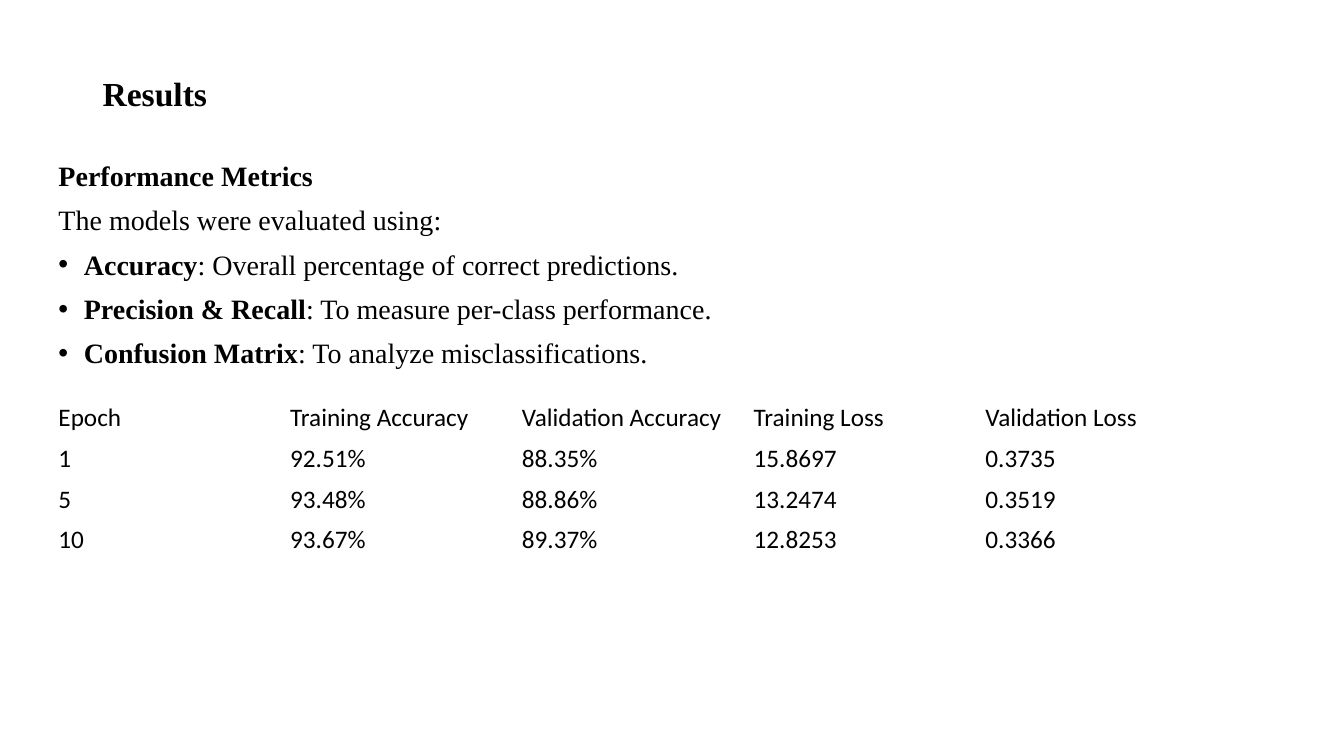
from lxml.etree import SubElement
from pptx import Presentation
from pptx.dml.color import RGBColor
from pptx.enum.text import MSO_ANCHOR, MSO_AUTO_SIZE, PP_ALIGN
from pptx.oxml.ns import qn
from pptx.util import Cm, Pt

COLORS = {"background": "FFFFFF", "text": "000000"}
SERIF, SANS = "Times New Roman", "Calibri"

# (bulleted, bold text, regular text)
METRICS = [
    (False, "Performance Metrics", ""),
    (False, "", "The models were evaluated using:"),
    (True, "Accuracy", ": Overall percentage of correct predictions."),
    (True, "Precision & Recall", ": To measure per-class performance."),
    (True, "Confusion Matrix", ": To analyze misclassifications."),
]
EPOCHS = [
    ("Epoch", "Training Accuracy", "Validation Accuracy", "Training Loss", "Validation Loss"),
    ("1", "92.51%", "88.35%", "15.8697", "0.3735"),
    ("5", "93.48%", "88.86%", "13.2474", "0.3519"),
    ("10", "93.67%", "89.37%", "12.8253", "0.3366"),
]


def style_run(r, font, size, bold=False):
    r.font.name, r.font.size, r.font.bold = font, Pt(size), bold
    r.font.color.rgb = RGBColor.from_string(COLORS["text"])


def place(sp, left, top, width, height):
    sp.left, sp.top, sp.width, sp.height = Cm(left), Cm(top), Cm(width), Cm(height)
    sp.text_frame.auto_size = MSO_AUTO_SIZE.NONE


prs = Presentation()
prs.slide_width, prs.slide_height = Cm(33.87), Cm(19.05)
s = prs.slides.add_slide(prs.slide_layouts[1])
s.background.fill.solid()
s.background.fill.fore_color.rgb = RGBColor.from_string(COLORS["background"])

# Title, raised above the middle of its box by the bottom margin
title = s.shapes.title
place(title, 2.33, 1.01, 29.21, 3.68)
tf = title.text_frame
tf.text = "Results"
tf.vertical_anchor = MSO_ANCHOR.MIDDLE
tf.margin_bottom = Cm(1)
p = tf.paragraphs[0]
p.alignment, p.line_spacing = PP_ALIGN.LEFT, 0.9
style_run(p.runs[0], SERIF, 24, True)

# Metrics list
body = s.placeholders[1]
place(body, 1.22, 2.84, 30.3, 14.3)
tf = body.text_frame
tf.vertical_anchor = MSO_ANCHOR.TOP
tf.margin_top = Cm(1.25)
for i, (bulleted, strong, plain) in enumerate(METRICS):
    p = tf.add_paragraph() if i else tf.paragraphs[0]
    p.line_spacing, p.space_before = 0.9, Pt(10 if i else 0)
    for text, bold in ((strong, True), (plain, False)):
        if text:
            r = p.add_run()
            r.text = text
            style_run(r, SERIF, 20, bold)
    pPr = p._p.get_or_add_pPr()
    pPr.set("marL", str(Cm(0.64)))
    pPr.set("indent", str(Cm(-0.64)))
    if bulleted:
        SubElement(pPr, qn("a:buFont"), typeface="Arial")
        SubElement(pPr, qn("a:buChar"), char="•")
    else:
        SubElement(pPr, qn("a:buNone"))

# Accuracy and loss by epoch
rows, cols = len(EPOCHS), len(EPOCHS[0])
table = s.shapes.add_table(
    rows, cols, Cm(1.22), Cm(10.01), Cm(5.84 * cols), Cm(1.02 * rows)
).table
table.first_row = table.horz_banding = False
for i, values in enumerate(EPOCHS):
    for j, value in enumerate(values):
        cell = table.cell(i, j)
        cell.fill.background()
        cell.vertical_anchor = MSO_ANCHOR.MIDDLE
        cell.text_frame.text = value
        style_run(cell.text_frame.paragraphs[0].runs[0], SANS, 18)

prs.save("out.pptx")
